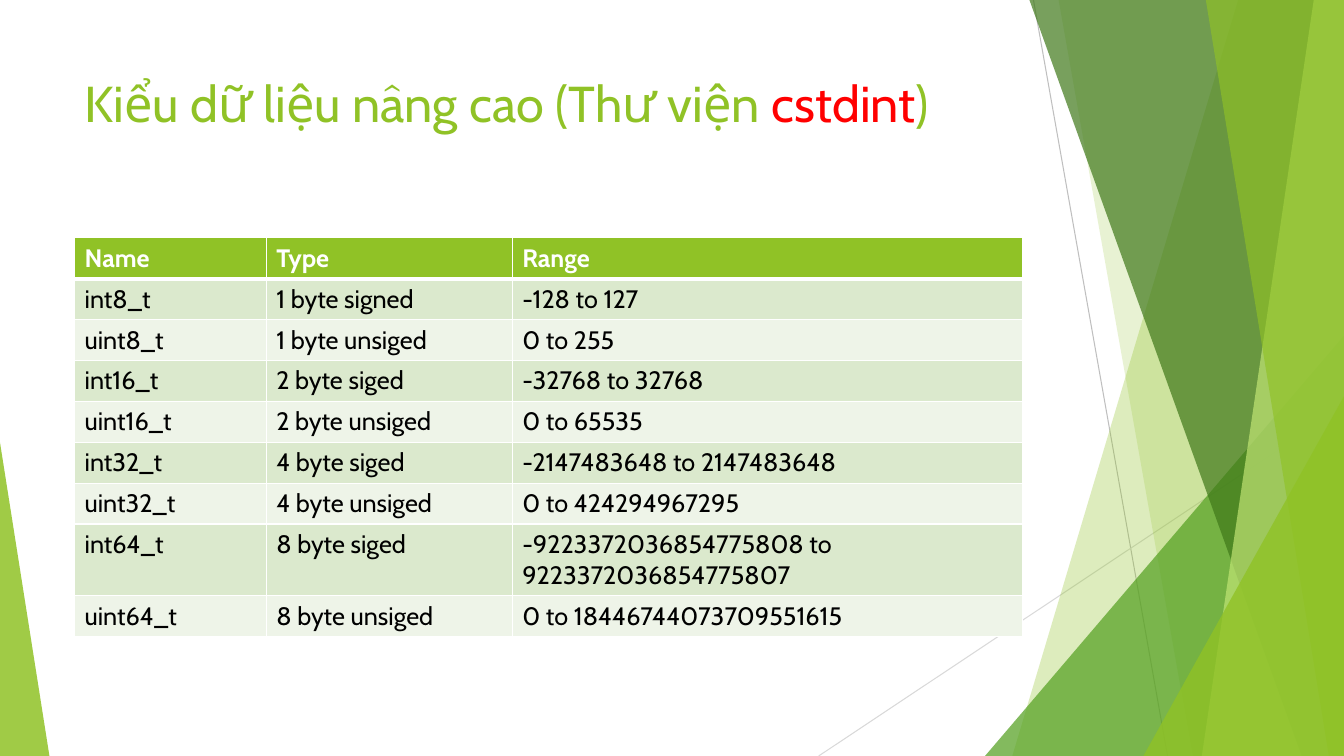
from dataclasses import dataclass
from lxml import etree
from pptx import Presentation
from pptx.dml.color import RGBColor
from pptx.enum import shapes, text
from pptx.oxml import ns
from pptx.util import Inches, Pt


@dataclass(frozen=True)
class Theme:
    font: str = "Cabin"
    title_size: int = 36
    table_size: int = 18
    accent: str = "90C226"
    highlight: str = "FF0000"
    white: str = "FFFFFF"
    ink: str = "000000"
    band_dark: str = "DBE9CD"
    band_light: str = "EEF4E8"
    leaf: str = "54A021"
    forest: str = "3F7819"
    lime: str = "C0E474"
    steep_line: str = "BFBFBF"
    shallow_line: str = "D9D9D9"


THEME = Theme()
WIDTH, HEIGHT = 13.33, 7.5
LEFT, CONTENT_WIDTH = 0.74, 9.4

TITLE = [
    ("Kiểu dữ liệu nâng cao (Thư viện ", THEME.accent),
    ("cstdint", THEME.highlight),
    (")", THEME.accent),
]
COLUMN_WIDTHS = [1.9, 2.44, 5.06]
ROWS = [
    ("Name", "Type", "Range"),
    ("int8_t", "1 byte signed", "-128 to 127"),
    ("uint8_t", "1 byte unsiged", "0 to 255"),
    ("int16_t", "2 byte siged", "-32768 to 32768"),
    ("uint16_t", "2 byte unsiged", "0 to 65535"),
    ("int32_t", "4 byte siged", "-2147483648 to 2147483648"),
    ("uint32_t", "4 byte unsiged", "0 to 424294967295"),
    ("int64_t", "8 byte siged", "-9223372036854775808 to 9223372036854775807"),
    ("uint64_t", "8 byte unsiged", "0 to 18446744073709551615"),
]
LINES = [
    ((10.25, 0), (11.58, HEIGHT), THEME.steep_line),
    ((WIDTH, 4.03), (8.12, HEIGHT), THEME.shallow_line),
]
FACETS = [
    ("band", (12.28, 10.04), THEME.accent, 30),
    ("band", (10.5, 11.83), THEME.accent, 20),
    ("triangle", (9.77, 3.33, 3.56, 1), THEME.leaf, 72),
    ("band", (10.21, 12.91), THEME.forest, 70),
    ("band", (13.03, 11.92), THEME.lime, 70),
    ("band", (11.96, 13.18), THEME.accent, 65),
    ("triangle", (11.34, 3.93, 1.99, 1), THEME.accent, 80),
    ("triangle", (0, 4.39, 0.49, 0), THEME.accent, 85),
]


def add_line(page, start, end, color):
    points = [Inches(value) for value in (*start, *end)]
    line = page.shapes.add_connector(shapes.MSO_CONNECTOR.STRAIGHT, *points)
    line.line.color.rgb = RGBColor.from_string(color)
    line.line.width = Pt(0.75)
    etree.SubElement(line._element.spPr, ns.qn("a:effectLst"))


def draw_band(page, top_left, bottom_left):
    builder = page.shapes.build_freeform(Inches(top_left), 0)
    corners = [(WIDTH, 0), (WIDTH, HEIGHT), (bottom_left, HEIGHT)]
    builder.add_line_segments([(Inches(x), Inches(y)) for x, y in corners])
    return builder.convert_to_shape()


def draw_triangle(page, left, top, width, apex):
    triangle = page.shapes.add_shape(
        shapes.MSO_SHAPE.ISOSCELES_TRIANGLE,
        Inches(left), Inches(top), Inches(width), Inches(HEIGHT - top),
    )
    triangle.adjustments[0] = apex
    return triangle


def add_facet(page, kind, geometry, color, opacity):
    draw = {"band": draw_band, "triangle": draw_triangle}[kind]
    facet = draw(page, *geometry)
    facet.shadow.inherit = False
    facet.line.fill.background()
    facet.fill.solid()
    facet.fill.fore_color.rgb = RGBColor.from_string(color)
    color_node = facet._element.spPr.find(ns.qn("a:solidFill"))[0]
    etree.SubElement(color_node, ns.qn("a:alpha"), val=str(opacity * 1000))


def add_span(para, words, size, color, bold=False):
    span = para.add_run()
    span.text = words
    span.font.name = THEME.font
    span.font.size = Pt(size)
    span.font.bold = bold
    span.font.color.rgb = RGBColor.from_string(color)


def fill_title(page):
    box = page.shapes.title
    box.left, box.top = Inches(LEFT), Inches(0.67)
    box.width, box.height = Inches(CONTENT_WIDTH), Inches(1.44)
    frame = box.text_frame
    frame.word_wrap = True
    frame.auto_size = text.MSO_AUTO_SIZE.NONE
    frame.vertical_anchor = text.MSO_ANCHOR.TOP
    para = frame.paragraphs[0]
    para.alignment = text.PP_ALIGN.LEFT
    for words, color in TITLE:
        add_span(para, words, THEME.title_size, color)


def add_border(cell, side, width):
    properties = cell._tc.get_or_add_tcPr()
    border = etree.SubElement(properties, ns.qn(f"a:ln{side}"), w=str(Pt(width)))
    fill = etree.SubElement(border, ns.qn("a:solidFill"))
    etree.SubElement(fill, ns.qn("a:srgbClr"), val=THEME.white)


def style_cell(cell, row_index, words):
    header = row_index == 0
    widths = {"L": 1, "R": 1, "T": 3 if row_index == 1 else 1, "B": 3 if header else 1}
    for side, width in widths.items():
        add_border(cell, side, width)
    band = THEME.band_dark if row_index % 2 else THEME.band_light
    cell.fill.solid()
    cell.fill.fore_color.rgb = RGBColor.from_string(THEME.accent if header else band)
    color = THEME.white if header else THEME.ink
    add_span(cell.text_frame.paragraphs[0], words, THEME.table_size, color, header)


def add_type_table(page):
    row_height = 0.4
    table = page.shapes.add_table(
        len(ROWS), len(COLUMN_WIDTHS), Inches(LEFT), Inches(2.36),
        Inches(CONTENT_WIDTH), Inches(row_height * len(ROWS)),
    ).table
    for column, width in zip(table.columns, COLUMN_WIDTHS):
        column.width = Inches(width)
    for row_index, row in enumerate(ROWS):
        for column_index, words in enumerate(row):
            style_cell(table.cell(row_index, column_index), row_index, words)


def main():
    deck = Presentation()
    deck.slide_width, deck.slide_height = Inches(WIDTH), Inches(HEIGHT)
    page = deck.slides.add_slide(deck.slide_layouts[5])
    for line in LINES:
        add_line(page, *line)
    for facet in FACETS:
        add_facet(page, *facet)
    fill_title(page)
    add_type_table(page)
    deck.save("out.pptx")


if __name__ == "__main__":
    main()
